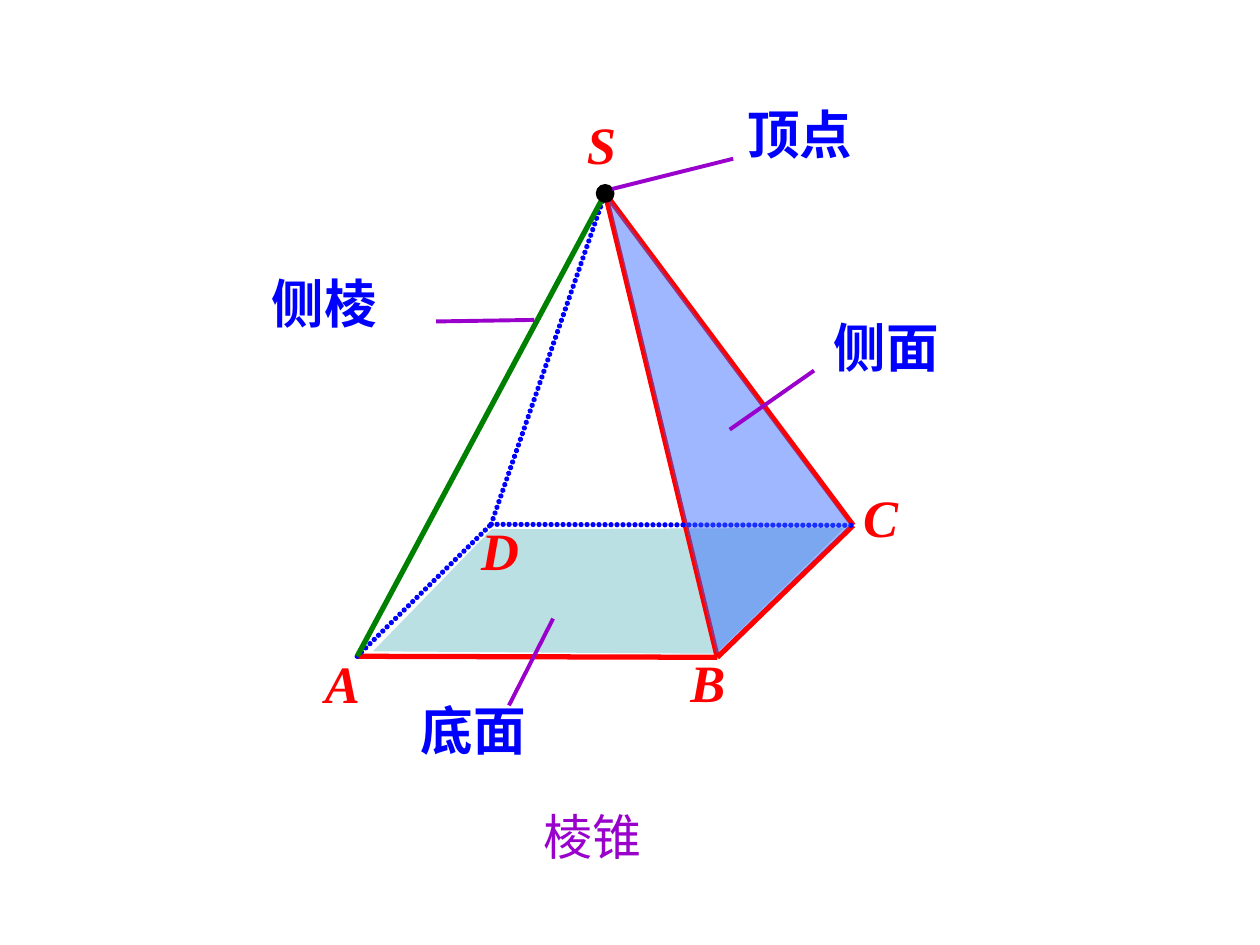
import pptx
import pptx.util
import pptx.dml.color
import pptx.enum.shapes
import pptx.enum.text
import pptx.oxml
import pptx.oxml.ns

Cm = pptx.util.Cm
Pt = pptx.util.Pt
RGBColor = pptx.dml.color.RGBColor

RED = RGBColor(0xFF, 0x00, 0x00)
BLUE = RGBColor(0x00, 0x00, 0xFF)
GREEN = RGBColor(0x00, 0x80, 0x00)
PURPLE = RGBColor(0x99, 0x00, 0xCC)
BLACK = RGBColor(0x00, 0x00, 0x00)
BASE_FILL = RGBColor(0xBB, 0xE0, 0xE3)
FACE_FILL = RGBColor(0x33, 0x66, 0xFF)
FONT = "Times New Roman"
LABEL_HEIGHT = 1.52

# Points are in centimetres from the top left corner of the pyramid's box.
VERTICES = {"A": (0, 9.43), "B": (7.26, 9.45), "C": (10, 6.79),
            "D": (2.7, 6.77), "S": (5, 0.1)}
SOLID_EDGES = ["AB", "BC", "CS", "SB"]
HIDDEN_EDGES = ["AD", "DC", "DS"]
BASE = [(0.32, 9.33), (2.71, 6.87), (9.82, 6.84), (7.23, 9.38)]
FACE = [(5.04, 0.16), (7.25, 9.38), (9.95, 6.79)]
APEX_SIZE = 0.3
VERTEX_LABELS = {"A": (-0.9, 9.2), "B": (6.47, 9.18), "C": (9.95, 5.85),
                 "D": (2.25, 6.51), "S": (4.38, -1.67)}
# Name, label corner, pointer start, pointer end
PARTS = [
    ("底面", (1.03, 10.14), (3.06, 10.42), (3.95, 8.67)),
    ("侧棱", (-1.97, 1.53), (3.57, 2.65), (1.59, 2.68)),
    ("顶点", (7.61, -1.87), (5.14, 0.01), (7.58, -0.6)),
    ("侧面", (9.36, 2.42), (9.21, 3.67), (7.51, 4.86)),
]


def place(box, point):
    return Cm(box[0] + point[0]), Cm(box[1] + point[1])


def drawing_xml(xml):
    return pptx.oxml.parse_xml(
        xml.replace("/>", f" {pptx.oxml.ns.nsdecls('a')}/>", 1)
        if xml.endswith("/>") and xml.count("<") == 1
        else xml.replace(">", f" {pptx.oxml.ns.nsdecls('a')}>", 1))


def add_line(s, box, start, end, color, width, dotted=False):
    line = s.shapes.add_connector(
        pptx.enum.shapes.MSO_CONNECTOR.STRAIGHT,
        *place(box, start), *place(box, end))
    line.line.color.rgb = color
    line.line.width = Pt(width)
    if dotted:
        ln = line.line._get_or_add_ln()
        ln.set("cap", "rnd")
        ln.append(drawing_xml(
            '<a:custDash><a:ds d="100000" sp="14000"/></a:custDash>'))
    line._element.spPr.append(drawing_xml("<a:effectLst/>"))


def add_polygon(s, box, points, color, alpha=None):
    start, *rest = [place(box, point) for point in points]
    builder = s.shapes.build_freeform(*start)
    builder.add_line_segments(rest, close=True)
    sp = builder.convert_to_shape()
    sp.shadow.inherit = False
    sp.fill.solid()
    sp.fill.fore_color.rgb = color
    sp.line.fill.background()
    if alpha is not None:
        rgb = sp._element.spPr.find(".//" + pptx.oxml.ns.qn("a:srgbClr"))
        rgb.append(drawing_xml(f'<a:alpha val="{alpha * 1000}"/>'))


def add_run(p, text, size, color, bold=False, italic=False):
    r = p.add_run()
    r.text = text
    r.font.name = FONT
    r.font.size = Pt(size)
    r.font.color.rgb = color
    r.font.bold = bold
    r.font.italic = italic


def add_label(s, box, corner, width, text, color, italic=False):
    sp = s.shapes.add_textbox(*place(box, corner), Cm(width), Cm(LABEL_HEIGHT))
    tf = sp.text_frame
    tf.word_wrap = True
    add_run(tf.paragraphs[0], text, 30, color, bold=True, italic=italic)


def add_pyramid(s, box):
    add_polygon(s, box, BASE, BASE_FILL)
    for start, end in SOLID_EDGES:
        add_line(s, box, VERTICES[start], VERTICES[end], RED, 3)
    for start, end in HIDDEN_EDGES:
        add_line(s, box, VERTICES[start], VERTICES[end], BLUE, 3, dotted=True)
    add_line(s, box, VERTICES["S"], VERTICES["A"], GREEN, 3)
    add_polygon(s, box, FACE, FACE_FILL, alpha=47)
    x, y = VERTICES["S"]
    apex = s.shapes.add_shape(
        pptx.enum.shapes.MSO_SHAPE.OVAL,
        *place(box, (x - APEX_SIZE / 2, y - APEX_SIZE / 2)),
        Cm(APEX_SIZE), Cm(APEX_SIZE))
    apex.shadow.inherit = False
    apex.fill.solid()
    apex.fill.fore_color.rgb = BLACK
    apex.line.color.rgb = BLACK
    apex.line.width = Pt(2.25)


def add_annotations(s, box):
    """Name the vertices and point out the parts of the pyramid."""
    for name, corner in VERTEX_LABELS.items():
        add_label(s, box, corner, 1.9, name, RED, italic=True)
    for name, corner, start, end in PARTS:
        add_label(s, box, corner, 4.72, name, BLUE)
        add_line(s, box, start, end, PURPLE, 2.25)


def set_title(s, left, top, width, height):
    sp = s.shapes.title
    sp.left, sp.top, sp.width, sp.height = map(Cm, (left, top, width, height))
    tf = sp.text_frame
    tf.word_wrap = True
    tf.auto_size = pptx.enum.text.MSO_AUTO_SIZE.NONE
    tf.vertical_anchor = pptx.enum.text.MSO_ANCHOR.TOP
    p = tf.paragraphs[0]
    p.alignment = pptx.enum.text.PP_ALIGN.CENTER
    add_run(p, "棱锥", 28, PURPLE)


def main():
    prs = pptx.Presentation()
    prs.slide_width, prs.slide_height = Cm(25.4), Cm(19.05)
    s = prs.slides.add_slide(prs.slide_layouts.get_by_name("Title Only"))
    pyramid_box = (7.2, 3.8)
    add_pyramid(s, pyramid_box)
    add_annotations(s, pyramid_box)
    set_title(s, 6.25, 16.13, 11.38, 1.45)
    prs.save("out.pptx")


if __name__ == "__main__":
    main()
